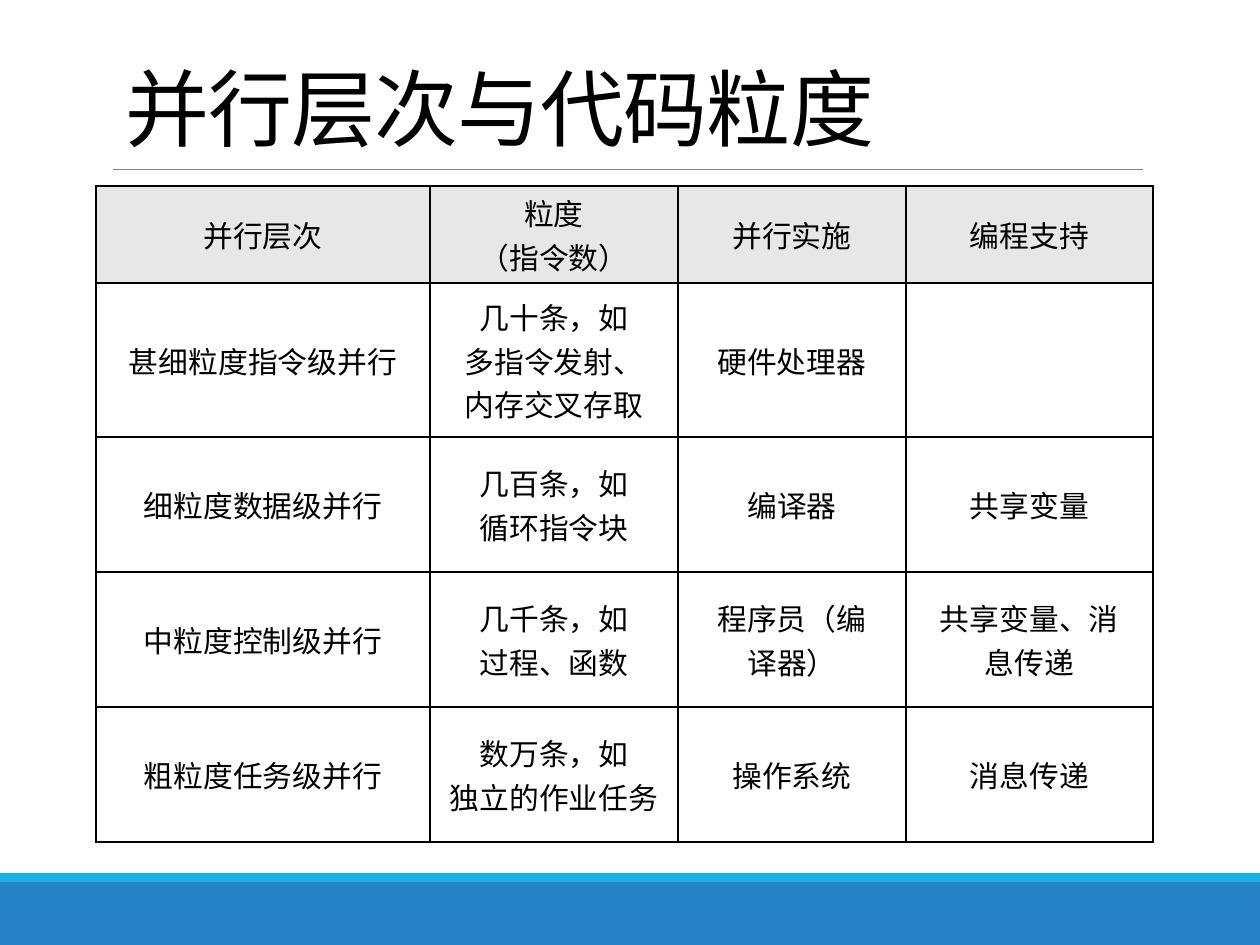
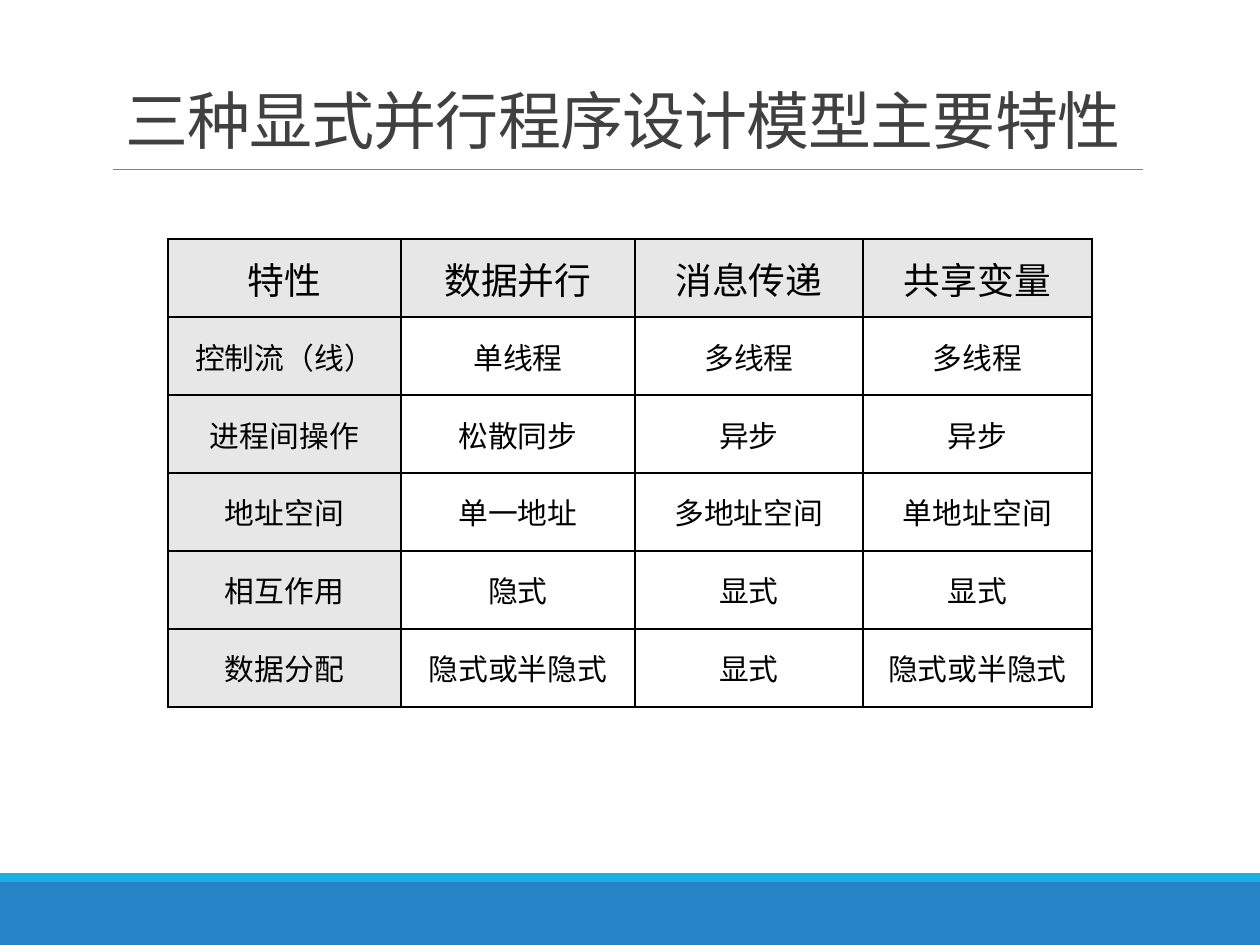
import pptx
import pptx.util
import pptx.dml.color
import pptx.enum.shapes
import pptx.enum.text
import pptx.oxml
import pptx.oxml.ns

BLUE, CYAN, RULE = "2683C6", "1CADE4", "808080"
BLACK, DARK, GRAY = "000000", "404040", "E7E7E7"
LATIN, HAN = "Calibri", "Noto Sans CJK SC"


def px(size):
    return pptx.util.Emu(round(size * 914400 / 126))


def color(code):
    return pptx.dml.color.RGBColor.from_string(code)


class Deck:
    def __init__(self):
        self.show = pptx.Presentation()
        self.show.slide_width = px(1260)
        self.show.slide_height = px(945)
        self.slide = None

    def page(self, title, size, tint, face):
        self.slide = self.show.slides.add_slide(self.show.slide_layouts[6])
        self.band(882, 63, BLUE)
        self.band(873, 9, CYAN)
        self.rule(113, 1143, 169)
        self.title(title, size, tint, face)

    def band(self, top, high, tint):
        kind = pptx.enum.shapes.MSO_SHAPE.RECTANGLE
        bar = self.slide.shapes.add_shape(kind, 0, px(top), px(1260), px(high))
        bar.shadow.inherit = False
        bar.fill.solid()
        bar.fill.fore_color.rgb = color(tint)
        bar.line.fill.background()

    def rule(self, left, right, top):
        kind = pptx.enum.shapes.MSO_CONNECTOR.STRAIGHT
        line = self.slide.shapes.add_connector(kind, px(left), px(top), px(right), px(top))
        line.line.color.rgb = color(RULE)
        line.line.width = pptx.util.Pt(0.5)
        props = line._element.spPr
        props.append(props.makeelement(pptx.oxml.ns.qn("a:effectLst"), {}))

    def font(self, run, size, tint, face):
        run.font.size = pptx.util.Pt(size)
        run.font.color.rgb = color(tint)
        run.font.name = face
        props = run._r.get_or_add_rPr()
        props.append(props.makeelement(pptx.oxml.ns.qn("a:ea"), {"typeface": HAN}))

    def title(self, text, size, tint, face):
        frame = self.slide.shapes.add_textbox(px(113), px(39), px(1040), px(125)).text_frame
        frame.word_wrap = True
        frame.vertical_anchor = pptx.enum.text.MSO_ANCHOR.BOTTOM
        frame.text = text
        para = frame.paragraphs[0]
        para.line_spacing = 0.85
        for run in para.runs:
            self.font(run, size, tint, face)
            run._r.get_or_add_rPr().set("spc", "-50")

    def border(self, cell):
        props = cell._tc.get_or_add_tcPr()
        for side in "LRTB":
            props.append(pptx.oxml.parse_xml(
                f'<a:ln{side} {pptx.oxml.ns.nsdecls("a")} w="12700"><a:solidFill>'
                f'<a:srgbClr val="{BLACK}"/></a:solidFill></a:ln{side}>'))

    def cell(self, cell, text, size, shade):
        cell.vertical_anchor = pptx.enum.text.MSO_ANCHOR.MIDDLE
        cell.margin_left = cell.margin_right = px(11)
        cell.margin_top = cell.margin_bottom = px(5)
        self.border(cell)
        if shade:
            cell.fill.solid()
            cell.fill.fore_color.rgb = color(GRAY)
        else:
            cell.fill.background()
        cell.text_frame.text = text
        for para in cell.text_frame.paragraphs:
            para.alignment = pptx.enum.text.PP_ALIGN.CENTER
            for run in para.runs:
                self.font(run, size, BLACK, LATIN)

    def table(self, left, top, cols, rows, data, head=17, side=False):
        grid = self.slide.shapes.add_table(
            len(rows), len(cols), px(left), px(top), px(sum(cols)), px(sum(rows))).table
        grid.first_row = grid.horz_banding = False
        for col, wide in zip(grid.columns, cols):
            col.width = px(wide)
        for row, high in zip(grid.rows, rows):
            row.height = px(high)
        for r, line in enumerate(data):
            for c, text in enumerate(line):
                shade = r == 0 or (side and c == 0)
                self.cell(grid.cell(r, c), text, 17 if r else head, shade)


LEVELS = [
    ["并行层次", "粒度\n（指令数）", "并行实施", "编程支持"],
    ["甚细粒度指令级并行", "几十条，如\n多指令发射、\n内存交叉存取", "硬件处理器", ""],
    ["细粒度数据级并行", "几百条，如\n循环指令块", "编译器", "共享变量"],
    ["中粒度控制级并行", "几千条，如\n过程、函数", "程序员（编\n译器）", "共享变量、消\n息传递"],
    ["粗粒度任务级并行", "数万条，如\n独立的作业任务", "操作系统", "消息传递"],
]

MODELS = [
    ["特性", "数据并行", "消息传递", "共享变量"],
    ["控制流（线）", "单线程", "多线程", "多线程"],
    ["进程间操作", "松散同步", "异步", "异步"],
    ["地址空间", "单一地址", "多地址空间", "单地址空间"],
    ["相互作用", "隐式", "显式", "显式"],
    ["数据分配", "隐式或半隐式", "显式", "隐式或半隐式"],
]


def main():
    deck = Deck()
    deck.page("并行层次与代码粒度", 48, BLACK, HAN)
    deck.table(96, 186, [334, 248, 228, 247], [97, 154] + [135] * 3, LEVELS)
    deck.page("三种显式并行程序设计模型主要特性", 36, DARK, LATIN)
    deck.table(168, 239, [233, 234, 228, 229], [78] * 6, MODELS, head=21, side=True)
    deck.show.save("out.pptx")


if __name__ == "__main__":
    main()
